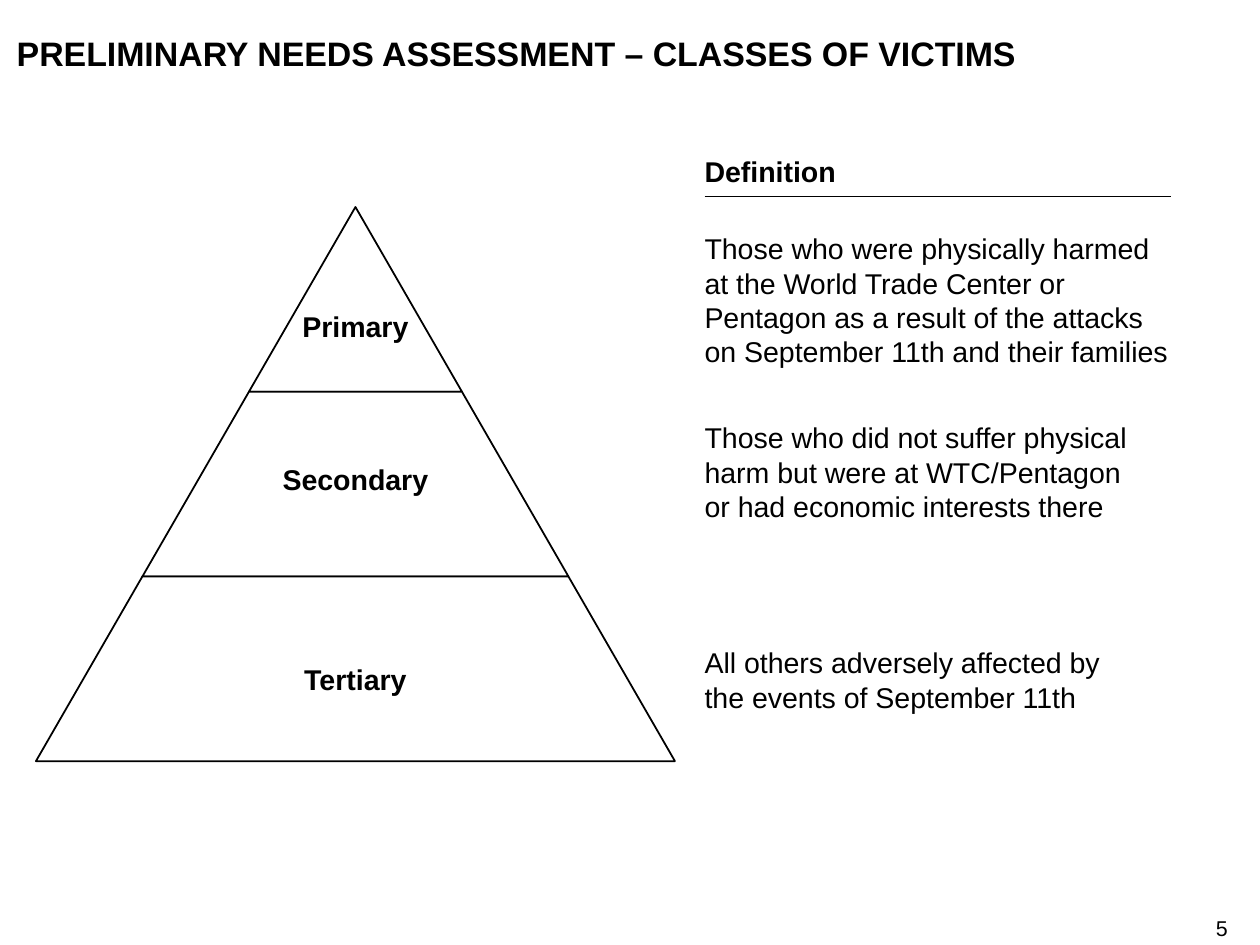
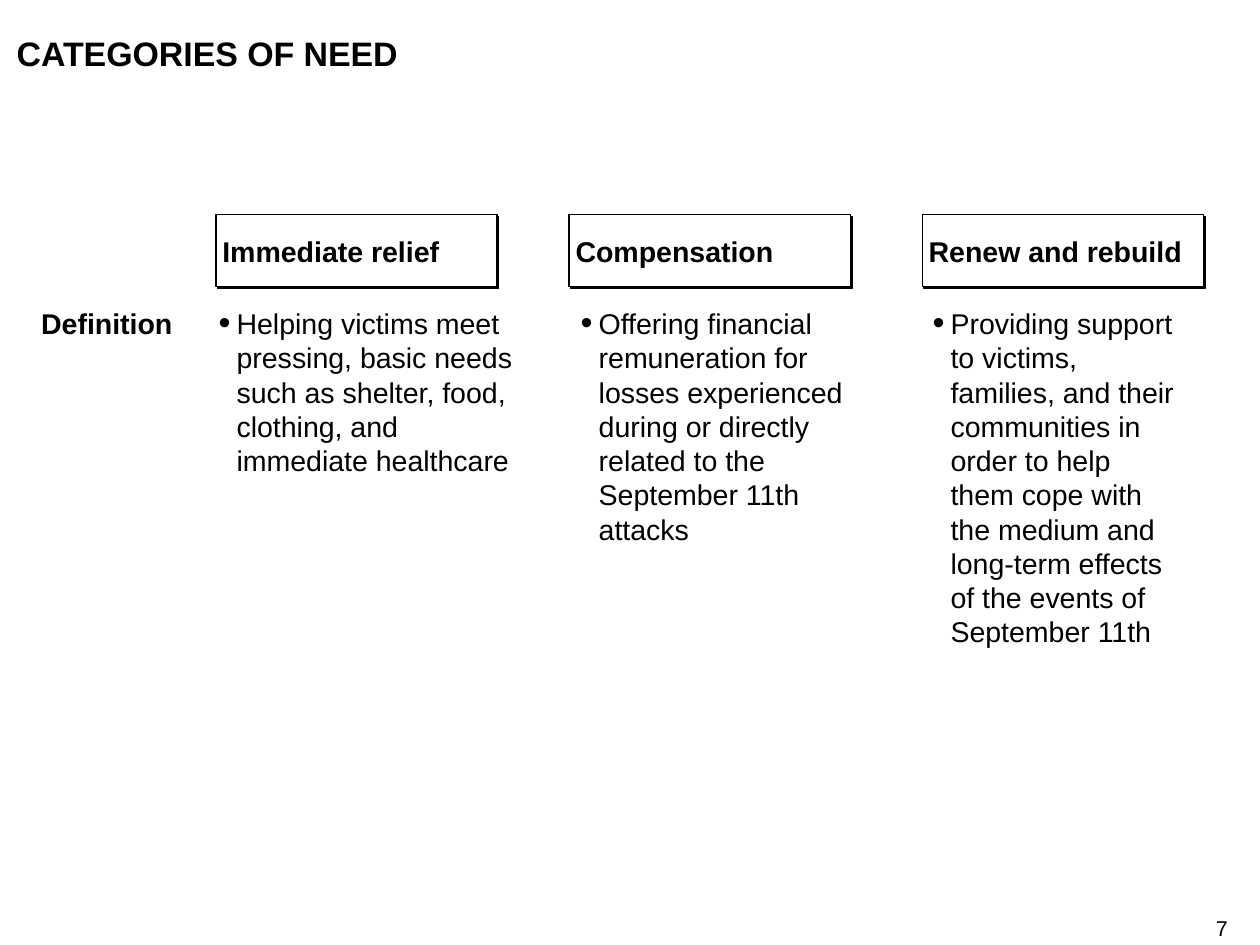
from lxml.etree import SubElement
from pptx import Presentation
from pptx.dml.color import RGBColor
from pptx.enum.shapes import MSO_CONNECTOR, MSO_SHAPE
from pptx.enum.text import MSO_ANCHOR, MSO_AUTO_SIZE, PP_ALIGN
from pptx.oxml.ns import qn
from pptx.util import Inches, Pt

COLORS = {"ink": "000000", "paper": "FFFFFF"}
FONT = "Arial"
LEADING = 1.2


def color(name):
    return RGBColor.from_string(COLORS[name])


def node(parent, tag, **attrs):
    return SubElement(parent, qn(tag), attrs)


def bullet(para):
    props = para._p.get_or_add_pPr()
    props.set("marL", str(Inches(0.15)))
    props.set("indent", str(Inches(-0.14)))
    node(node(props, "a:buClr"), "a:srgbClr", val=COLORS["ink"])
    node(props, "a:buSzPct", val="120000")
    node(props, "a:buFont", typeface=FONT)
    node(props, "a:buChar", char="•")


def write(shape, text, size=16, bold=False, align=PP_ALIGN.LEFT,
          anchor=MSO_ANCHOR.TOP, inset=0, listed=False):
    frame = shape.text_frame
    layout = {"word_wrap": True, "auto_size": MSO_AUTO_SIZE.NONE,
              "vertical_anchor": anchor}
    for side in ("left", "top", "right", "bottom"):
        layout[f"margin_{side}"] = Inches(inset)
    for key, value in layout.items():
        setattr(frame, key, value)
    para = frame.paragraphs[0]
    if listed:
        bullet(para)
    style = {"alignment": align, "line_spacing": Pt(size * LEADING),
             "space_before": Pt(0), "space_after": Pt(0)}
    for key, value in style.items():
        setattr(para, key, value)
    run = para.add_run()
    run.text = text
    for key, value in {"name": FONT, "size": Pt(size), "bold": bold}.items():
        setattr(run.font, key, value)
    run.font.color.rgb = color("ink")


def place(shape, box):
    for key, value in zip(("left", "top", "width", "height"), box):
        setattr(shape, key, Inches(value))
    return shape


def label(slide, box, text, **style):
    shape = slide.shapes.add_textbox(*map(Inches, box))
    write(shape, text, **style)


def paint(shape, width):
    shape.shadow.inherit = False
    shape.fill.solid()
    shape.fill.fore_color.rgb = color("paper")
    shape.line.color.rgb = color("ink")
    shape.line.width = Pt(width)


def start(deck, layout, title, page):
    slide = deck.slides.add_slide(deck.slide_layouts.get_by_name(layout))
    write(place(slide.shapes.title, (0.13, 0.25, 9.43, 0.32)),
          title, size=19, bold=True)
    label(slide, (9.35, 7.12, 0.2, 0.2), page, size=12, align=PP_ALIGN.RIGHT)
    return slide


def pyramid(slide, box, tiers):
    left, top, width, height = box
    mid, step = left + width / 2, height / len(tiers)
    for row, (name, drop) in enumerate(tiers):
        upper, lower = [width / 2 * n / len(tiers) for n in (row, row + 1)]
        high, low = top + row * step, top + (row + 1) * step
        points = [(mid + upper, high), (mid + lower, low), (mid - lower, low)]
        if row:
            points.append((mid - upper, high))
        spots = [(Inches(x), Inches(y)) for x, y in points]
        path = slide.shapes.build_freeform(*spots[0], scale=1.0)
        path.add_line_segments(spots[1:], close=True)
        paint(path.convert_to_shape(), 1)
        span = upper + lower
        label(slide, (mid - span / 2, top + drop, span, 0.27), name,
              bold=True, align=PP_ALIGN.CENTER, anchor=MSO_ANCHOR.MIDDLE)


def meanings(slide, box, items):
    left, top, width, _ = box
    label(slide, (left, top, 1.23, 0.27), "Definition", bold=True)
    rule = slide.shapes.add_connector(
        MSO_CONNECTOR.STRAIGHT, Inches(left), Inches(top + 0.33),
        Inches(left + width), Inches(top + 0.33))
    rule.line.color.rgb = color("ink")
    rule.line.width = Pt(0.75)
    node(rule._element.spPr, "a:effectLst")
    for drop, wide, lines, text in items:
        label(slide, (left, top + drop, wide, lines * 0.27), text)


def header(slide, box, text):
    shape = slide.shapes.add_shape(MSO_SHAPE.RECTANGLE, *map(Inches, box))
    paint(shape, 0.75)
    effects = shape._element.spPr.find(qn("a:effectLst"))
    shade = node(effects, "a:outerShdw", dist=str(Pt(1.4)), dir="2700000",
                 algn="ctr", rotWithShape="0")
    node(shade, "a:srgbClr", val=COLORS["ink"])
    write(shape, text, bold=True, anchor=MSO_ANCHOR.MIDDLE, inset=0.05)


def needs(slide, box, items):
    left, top, width, height = box
    gap = 0.56
    wide = (width - gap * (len(items) - 1)) / len(items)
    bodies = [p for p in slide.placeholders if p.placeholder_format.idx]
    write(place(bodies[0], (left - 1.36, top + 0.71, 1.3, 0.32)),
          "Definition", bold=True)
    for col, (name, shift, span, text) in enumerate(items):
        x = left + col * (wide + gap)
        header(slide, (x, top, wide, 0.56), name)
        write(place(bodies[col + 1], (x + shift, top + 0.71, span, height - 0.71)),
              text, listed=True)


def victims(deck):
    slide = start(deck, "Title Only",
                  "PRELIMINARY NEEDS ASSESSMENT – CLASSES OF VICTIMS", "5")
    pyramid(slide, (0.28, 1.61, 4.97, 4.31),
            [("Primary", 0.79), ("Secondary", 1.98), ("Tertiary", 3.54)])
    meanings(slide, (5.48, 1.2, 3.63, 4.35), [
        (0.6, 3.64, 4, "Those who were physically harmed at the World Trade "
         "Center or Pentagon as a result of the attacks on September 11th "
         "and their families"),
        (2.07, 3.42, 3, "Those who did not suffer physical harm but were at "
         "WTC/Pentagon or had economic interests there"),
        (3.82, 3.32, 2, "All others adversely affected by the events of "
         "September 11th"),
    ])


def groups(deck):
    slide = start(deck, "Comparison", "CATEGORIES OF NEED", "7")
    needs(slide, (1.68, 1.67, 7.68, 3.38), [
        ("Immediate relief", 0.01, 2.32, "Helping victims meet pressing, "
         "basic needs such as shelter, food, clothing, and immediate "
         "healthcare"),
        ("Compensation", 0.08, 2.39, "Offering financial remuneration for "
         "losses experienced during or directly related to the September "
         "11th attacks"),
        ("Renew and rebuild", 0.07, 1.9, "Providing support to victims, "
         "families, and their communities in order to help them cope with "
         "the medium and long-term effects of the events of September 11th"),
    ])


def main():
    deck = Presentation()
    deck.slide_width, deck.slide_height = Inches(9.8), Inches(7.35)
    victims(deck)
    groups(deck)
    deck.save("out.pptx")


if __name__ == "__main__":
    main()
